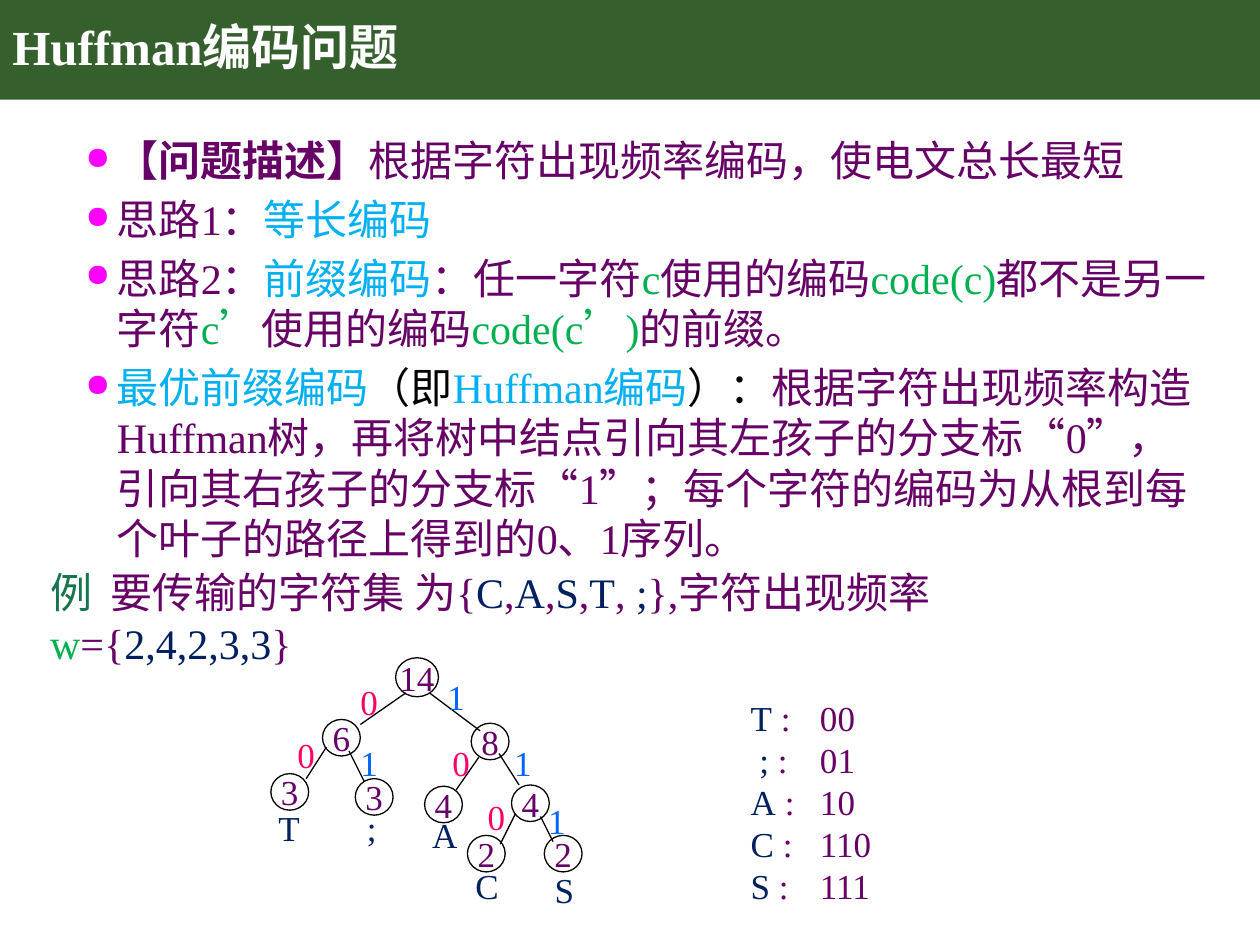
from typing import NamedTuple

from lxml import etree
from pptx import Presentation
from pptx.dml.color import RGBColor
from pptx.enum.lang import MSO_LANGUAGE_ID
from pptx.enum.shapes import MSO_CONNECTOR, MSO_SHAPE
from pptx.enum.text import MSO_ANCHOR, MSO_AUTO_SIZE, PP_ALIGN
from pptx.oxml.ns import qn
from pptx.util import Pt

PX = 9144  # 100 px to the inch
FONT = "Times New Roman"
CHINESE = MSO_LANGUAGE_ID.SIMPLIFIED_CHINESE
OVAL, RECTANGLE = MSO_SHAPE.OVAL, MSO_SHAPE.RECTANGLE
STRAIGHT = MSO_CONNECTOR.STRAIGHT
TOP, MIDDLE = MSO_ANCHOR.TOP, MSO_ANCHOR.MIDDLE
LEFT, CENTER = PP_ALIGN.LEFT, PP_ALIGN.CENTER
GROW, FIXED = MSO_AUTO_SIZE.SHAPE_TO_FIT_TEXT, MSO_AUTO_SIZE.NONE
COLORS = {
    "banner": "365F2E", "white": "FFFFFF", "black": "000000",
    "purple": "660066", "sky": "00B0F0", "green": "00B050",
    "teal": "16754D", "navy": "002060", "bullet": "FF00FF",
    "0": "FF0066", "1": "0066FF",
}


class Span(NamedTuple):
    text: str
    color: str = "purple"
    bold: bool = False


class Node(NamedTuple):
    weight: str
    left: int
    top: int
    width: int = 30
    height: int = 29


class Branch(NamedTuple):
    start: tuple[int, int]
    end: tuple[int, int]
    bit: str
    bit_at: tuple[int, int]


class Leaf(NamedTuple):
    character: str
    left: int
    top: int
    width: int


LINE_BREAK = Span("\n")
TITLE = [[Span("Huffman编码问题", "white", True)]]
POINTS = [
    [Span("【问题描述】", bold=True), Span("根据字符出现频率编码，使电文总长最短")],
    [Span("思路1："), Span("等长编码", "sky")],
    [Span("思路2："), Span("前缀编码", "sky"), Span("：任一字符"),
     Span("c", "green"), Span("使用的编码"), Span("code(c)", "green"),
     Span("都不是另一字符"), Span("c’", "green"), Span("使用的编码"),
     Span("code(c’)", "green"), Span("的前缀。")],
    [Span("最优前缀编码", "sky"), Span("（即", "black"),
     Span("Huffman编码", "sky"), Span("）：", "black"),
     Span("根据字符出现频率构造Huffman树，再将树中结点引向其左孩子的分支标“0”，"
          "引向其右孩子的分支标“1”；每个字符的编码为从根到每个叶子的路径上得到的0、1序列。")],
]
EXAMPLE = [[
    Span("例", "teal"), Span("\t要传输的字符集 为{"),
    Span("C", "navy"), Span(","), Span("A", "navy"), Span(","),
    Span("S", "navy"), Span(","), Span("T", "navy"), Span(", "),
    Span(";", "navy"), Span("},字符出现频率 "), LINE_BREAK,
    Span("w", "green"), Span("={"), Span("2,4,2,3,3", "navy"), Span("}"),
]]
CODES = {"T": "00", " ;": "01", "A": "10", "C": "110", "S": "111"}
NODES = [
    Node("14", 314, 522, 34, 31), Node("6", 256, 571), Node("8", 374, 574),
    Node("3", 215, 614), Node("3", 282, 618), Node("4", 337, 624),
    Node("4", 406, 623), Node("2", 371, 663), Node("2", 432, 663),
]
BRANCHES = [
    Branch((322, 550), (286, 575), "0", (276, 535)),
    Branch((341, 550), (381, 580), "1", (345, 531)),
    Branch((259, 593), (243, 618), "0", (226, 577)),
    Branch((277, 596), (289, 620), "1", (276, 583)),
    Branch((380, 601), (362, 627), "0", (349, 583)),
    Branch((396, 598), (412, 623), "1", (398, 583)),
    Branch((409, 646), (397, 670), "0", (377, 626)),
    Branch((429, 648), (439, 668), "1", (425, 629)),
]
LEAVES = [
    Leaf("T", 211, 635, 37), Leaf(";", 281, 635, 28), Leaf("A", 333, 640, 40),
    Leaf("C", 367, 681, 39), Leaf("S", 430, 684, 36),
]


def rgb(name: str) -> RGBColor:
    return RGBColor.from_string(COLORS[name])


def add_bullet(para) -> None:
    properties = para._p.get_or_add_pPr()
    properties.set("marL", str(125 * PX))
    properties.set("indent", str(-25 * PX))
    color = etree.SubElement(properties, qn("a:buClr"))
    etree.SubElement(color, qn("a:srgbClr"), val=COLORS["bullet"])
    etree.SubElement(properties, qn("a:buSzPct"), val="75000")
    etree.SubElement(properties, qn("a:buChar"), char="●")


def add_tab(para, position: int) -> None:
    tabs = etree.SubElement(para._p.get_or_add_pPr(), qn("a:tabLst"))
    etree.SubElement(tabs, qn("a:tab"), pos=str(position * PX), algn="l")


def write(shape, paragraphs, *, size=20, align=LEFT, anchor=MIDDLE, wrap=True,
          autosize=FIXED, bullets=False, tab=0, line_spacing=None) -> None:
    """Fill a shape with paragraphs, each a list of spans."""
    frame = shape.text_frame
    frame.word_wrap = wrap
    frame.auto_size = autosize
    frame.vertical_anchor = anchor
    for index, spans in enumerate(paragraphs):
        para = frame.add_paragraph() if index else frame.paragraphs[0]
        if bullets:
            para.level = 2
            add_bullet(para)
        if tab:
            add_tab(para, tab)
        para.alignment = align
        para.line_spacing = line_spacing
        para.space_before = Pt(0.2 * size if bullets and index else 0)
        for span in spans:
            if span is LINE_BREAK:
                para.add_line_break()
                continue
            run = para.add_run()
            run.text = span.text
            run.font.name = FONT
            run.font.size = Pt(size)
            run.font.bold = span.bold
            run.font.language_id = CHINESE
            run.font.color.rgb = rgb(span.color)


def add_text(page, left: int, top: int, width: int, height: int,
             paragraphs, **style) -> None:
    box = page.shapes.add_textbox(left * PX, top * PX, width * PX, height * PX)
    write(box, paragraphs, **style)


def add_label(page, left: int, top: int, width: int, span: Span) -> None:
    add_text(page, left, top, width, 44, [[span]],
             align=CENTER, wrap=False, autosize=GROW)


def draw_banner(page) -> None:
    banner = page.shapes.add_shape(RECTANGLE, 0, 0, 1000 * PX, 79 * PX)
    banner.shadow.inherit = False
    banner.fill.solid()
    banner.fill.fore_color.rgb = rgb("banner")
    banner.line.fill.background()


def draw_node(page, node: Node) -> None:
    circle = page.shapes.add_shape(OVAL, node.left * PX, node.top * PX,
                                   node.width * PX, node.height * PX)
    circle.shadow.inherit = False
    circle.fill.background()
    circle.line.color.rgb = rgb("black")
    circle.line.width = Pt(0.75)
    write(circle, [[Span(node.weight)]], align=CENTER, wrap=False)


def draw_branch(page, branch: Branch) -> None:
    ends = [value * PX for value in branch.start + branch.end]
    line = page.shapes.add_connector(STRAIGHT, *ends)
    line.line.color.rgb = rgb("black")
    line.line.width = Pt(0.75)
    etree.SubElement(line._element.spPr, qn("a:effectLst"))
    add_label(page, *branch.bit_at, 34, Span(branch.bit, branch.bit))


def main() -> None:
    deck = Presentation()
    deck.slide_width, deck.slide_height = 1000 * PX, 750 * PX
    page = deck.slides.add_slide(deck.slide_layouts[6])

    draw_banner(page)
    add_text(page, 0, 0, 862, 79, TITLE, size=28, line_spacing=0.9)
    add_text(page, -42, 102, 1012, 366, POINTS, size=24, anchor=TOP, bullets=True)
    add_text(page, 30, 465, 940, 50, EXAMPLE, size=24, autosize=GROW, tab=48)

    for node in NODES:
        draw_node(page, node)
    for branch in BRANCHES:
        draw_branch(page, branch)
    for leaf in LEAVES:
        add_label(page, leaf.left, leaf.top, leaf.width,
                  Span(leaf.character, "navy"))

    code_lines = [[Span(character, "navy"), Span(f" :\t{code}")]
                  for character, code in CODES.items()]
    add_text(page, 586, 547, 130, 178, code_lines, autosize=GROW, tab=55)

    deck.save("out.pptx")


if __name__ == "__main__":
    main()
